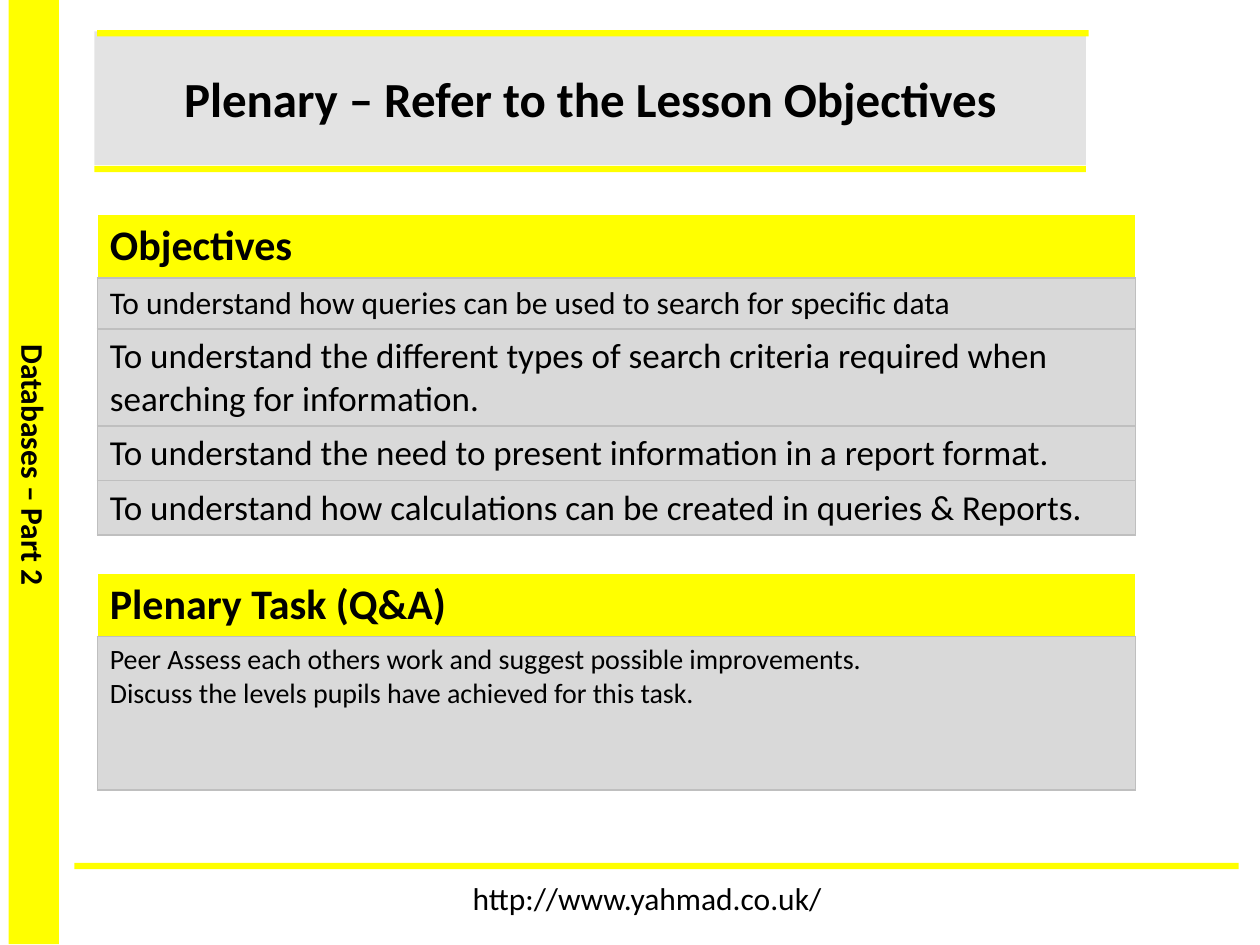
from lxml import etree
from pptx import Presentation
from pptx.dml.color import RGBColor
from pptx.enum import shapes, text
from pptx.oxml.ns import qn
from pptx.util import Pt

YELLOW = RGBColor(0xFF, 0xFF, 0x00)
GREY = RGBColor(0xD9, 0xD9, 0xD9)
EDGE = RGBColor(0xBF, 0xBF, 0xBF)
WHITE = RGBColor(0xFF, 0xFF, 0xFF)
BLACK = RGBColor(0, 0, 0)
FONT = "Calibri"

# Content
TITLE = "Plenary – Refer to the Lesson Objectives"
UNIT = "Databases – Part 2"
LINK = "http://www.yahmad.co.uk/"

# Tables: top, then rows of (lines, text size, row height)
TABLES = [
    (327.6, [
        (["Plenary Task (Q&A)"], 24, 35.5),
        (["Peer Assess each others work and suggest possible improvements.",
          "Discuss the levels pupils have achieved for this task."], 16, 87.84),
    ]),
    (122.7, [
        (["Objectives"], 24, 35.5),
        (["To understand how queries can be used to search for specific data"],
         18, 29.2),
        (["To understand the different types of search criteria required when "
          "searching for information."], 20, 55.4),
        (["To understand the need to present information in a report format."],
         20, 31),
        (["To understand how calculations can be created in queries & Reports."],
         20, 31),
    ]),
]
TAB_X, TAB_W = 55.6, 593.2

# Yellow rules: left, top, width, height
SIDE = (4.9, 0, 28.8, 539.5)
FOOT = (42.5, 493, 665.3, 3.6)
RULES = [(54, 94.8, 566.6, 3.6), (55.6, 17.2, 566.6, 3.6)]


def paint(fill, color, alpha=100):
    fill.solid()
    fill.fore_color.rgb = color
    if alpha < 100:
        node = fill._xPr.find(".//" + qn("a:srgbClr"))
        etree.SubElement(node, qn("a:alpha"), val=str(alpha * 1000))


def write(frame, lines, size, bold=False, align=None):
    for i, line in enumerate(lines):
        para = frame.paragraphs[0] if i == 0 else frame.add_paragraph()
        para.text = line
        para.alignment = align
        font = para.font
        font.name, font.size, font.bold = FONT, Pt(size), bold
        font.color.rgb = BLACK


def add_rect(area, color, alpha=100):
    rect = slide.shapes.add_shape(shapes.MSO_SHAPE.RECTANGLE, *map(Pt, area))
    rect.shadow.inherit = False
    rect.line.fill.background()
    paint(rect.fill, color, alpha)
    return rect


def add_label(area, line, bold=False):
    box = slide.shapes.add_textbox(*map(Pt, area))
    box.text_frame.word_wrap = False
    write(box.text_frame, [line], 18, bold, text.PP_ALIGN.CENTER)
    return box


def edge(cell, sides):
    props = cell._tc.get_or_add_tcPr()
    for side, color in zip("LRTB", sides):
        line = etree.SubElement(props, qn("a:ln" + side), w=str(Pt(1)))
        fill = etree.SubElement(line, qn("a:solidFill"))
        etree.SubElement(fill, qn("a:srgbClr"), val=str(color))


def add_grid(top, rows):
    high = sum(row[2] for row in rows)
    grid = slide.shapes.add_table(
        len(rows), 1, Pt(TAB_X), Pt(top), Pt(TAB_W), Pt(high)).table
    grid.horz_banding = False
    for i, (lines, size, tall) in enumerate(rows):
        head = i == 0
        grid.rows[i].height = Pt(tall)
        cell = grid.cell(i, 0)
        edge(cell, [WHITE] * 3 + [EDGE] if head else [EDGE] * 4)
        paint(cell.fill, YELLOW if head else GREY, 80)
        write(cell.text_frame, lines, size, head)


prs = Presentation()
prs.slide_width, prs.slide_height = Pt(720), Pt(540)
slide = prs.slides.add_slide(prs.slide_layouts[6])

# Side bar with its turned label, and footer
add_rect(SIDE, YELLOW)
add_label((-57.7, 251.2, 154, 29), UNIT, True).rotation = 90
add_rect(FOOT, YELLOW)
add_label((261.4, 499, 216.7, 29), LINK)

# Title between two rules
title = add_rect((54, 18, 566.6, 76.3), GREY, 72)
title.text_frame.word_wrap = True
title.text_frame.vertical_anchor = text.MSO_ANCHOR.MIDDLE
write(title.text_frame, [TITLE], 28, True, text.PP_ALIGN.CENTER)
for rule in RULES:
    add_rect(rule, YELLOW)

# Tables
for top, rows in TABLES:
    add_grid(top, rows)

prs.save("out.pptx")
